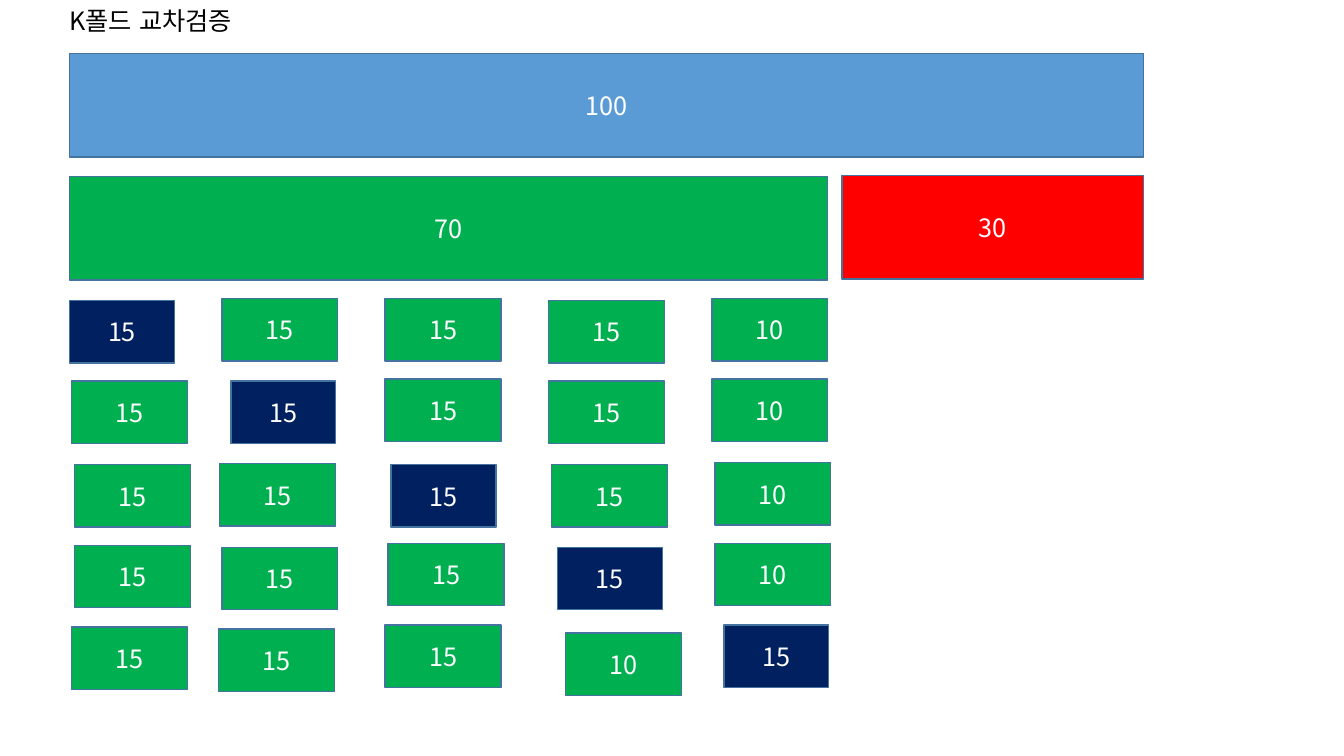
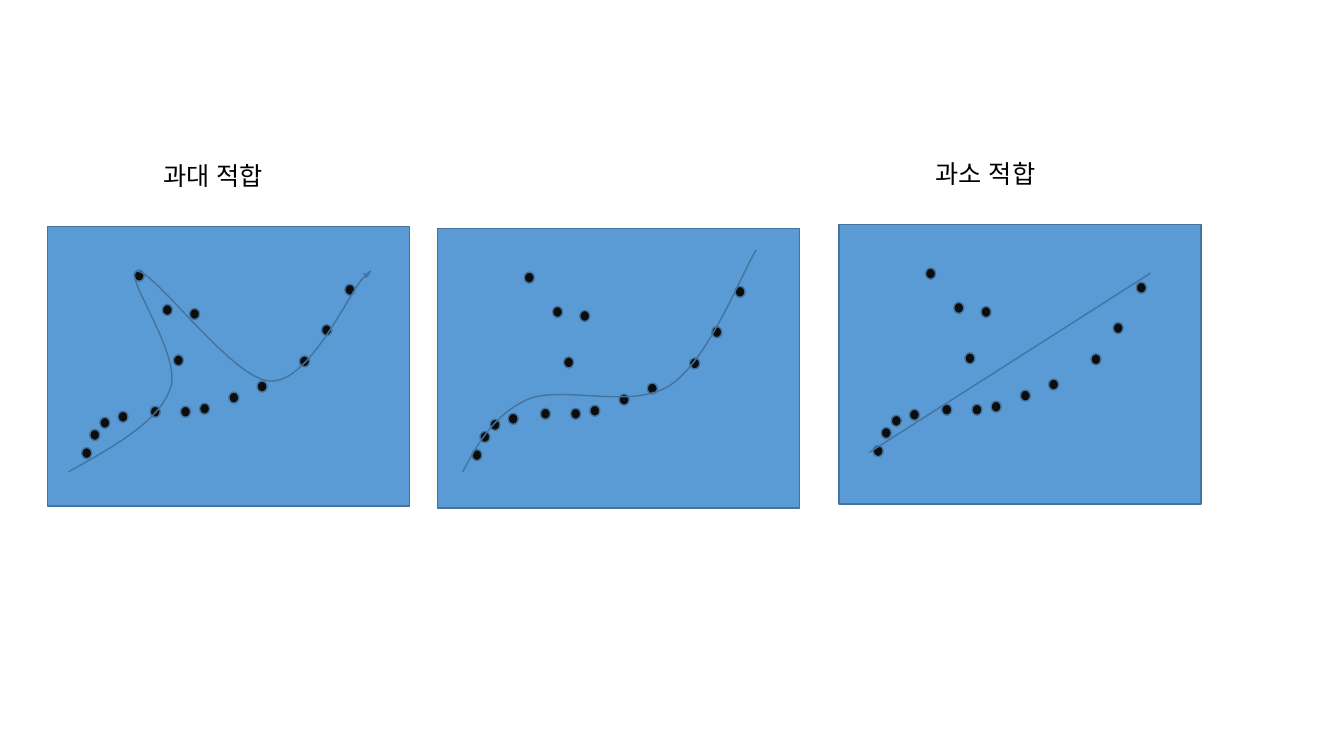
"""Build two slides on k-fold cross-validation and on model fit."""
import dataclasses
import typing

import lxml.etree
import pptx
import pptx.dml.color
import pptx.enum.lang
import pptx.enum.shapes
import pptx.enum.text
import pptx.oxml.ns
import pptx.util

Inches = pptx.util.Inches
Color = pptx.dml.color.RGBColor
ShapeType = pptx.enum.shapes.MSO_SHAPE
Point = tuple[float, float]


@dataclasses.dataclass(frozen=True)
class Theme:
    blue: Color = Color.from_string("5B9BD5")
    green: Color = Color.from_string("00B050")
    red: Color = Color.from_string("FF0000")
    navy: Color = Color.from_string("002060")
    dot: Color = Color.from_string("0D0D0D")
    outline: Color = Color.from_string("43739E")
    white: Color = Color.from_string("FFFFFF")
    black: Color = Color.from_string("000000")
    font: str = "Noto Sans CJK KR"
    text_size: pptx.util.Pt = pptx.util.Pt(18)
    line_width: pptx.util.Pt = pptx.util.Pt(1)


THEME = Theme()
FONT_FORMAT = {
    "name": THEME.font,
    "size": THEME.text_size,
    "language_id": pptx.enum.lang.MSO_LANGUAGE_ID.KOREAN,
}


@dataclasses.dataclass(frozen=True)
class Box:
    left: float
    top: float
    width: float
    height: float

    def lengths(self) -> list[pptx.util.Length]:
        return [Inches(value) for value in dataclasses.astuple(self)]


@dataclasses.dataclass(frozen=True)
class Bar:
    box: Box
    fill: Color
    label: str


@dataclasses.dataclass(frozen=True)
class Fold:
    lefts: tuple[float, ...]
    tops: tuple[float, ...]


@dataclasses.dataclass(frozen=True)
class Title:
    box: Box
    text: str


BARS = [
    Bar(Box(0.69, 0.53, 10.65, 1.03), THEME.blue, "100"),
    Bar(Box(0.69, 1.75, 7.52, 1.03), THEME.green, "70"),
    Bar(Box(8.35, 1.74, 2.99, 1.03), THEME.red, "30"),
]
FOLD_TITLE = Title(Box(0.59, 0, 1.96, 0.4), "K폴드 교차검증")
FOLDS = [
    Fold((0.69, 2.2, 3.82, 5.44, 7.06), (2.98, 2.96, 2.96, 2.98, 2.96)),
    Fold((0.71, 2.29, 3.82, 5.44, 7.06), (3.78, 3.78, 3.76, 3.78, 3.76)),
    Fold((0.74, 2.18, 3.88, 5.47, 7.09), (4.61, 4.6, 4.61, 4.61, 4.59)),
    Fold((0.74, 2.2, 3.85, 5.53, 7.09), (5.41, 5.43, 5.39, 5.43, 5.39)),
    Fold((0.71, 2.17, 3.82, 5.61, 7.18), (6.22, 6.24, 6.2, 6.28, 6.2)),
]
FOLD_HEIGHT = 0.62
TRAINING_WIDTH = 1.15
VALIDATION_WIDTH = 1.04

PANEL_CORNERS: list[Point] = [(0.47, 2.25), (4.34, 2.27), (8.32, 2.23)]
PANEL_SIZE = (3.59, 2.77)
FIT_TITLES = [
    Title(Box(1.52, 1.54, 1.3, 0.4), "과대 적합"),
    Title(Box(9.18, 1.52, 1.3, 0.4), "과소 적합"),
]
DOT_SIZE = (0.1, 0.11)
DOT_OFFSETS: list[Point] = [
    (0.34, 2.19), (0.42, 2.01), (0.52, 1.89), (0.7, 1.83),
    (1.02, 1.78), (1.32, 1.78), (1.51, 1.75), (1.8, 1.64),
    (2.08, 1.53), (2.5, 1.28), (2.72, 0.97), (2.95, 0.57),
    (1.14, 0.77), (1.41, 0.81), (1.25, 1.27), (0.86, 0.43),
]
OVERFIT_CURVE: list[Point] = [
    (0.68, 4.68),
    (1.13, 4.43), (1.58, 4.18), (1.69, 3.85),
    (1.81, 3.52), (1.2, 2.7), (1.36, 2.69),
    (1.53, 2.68), (2.31, 3.77), (2.68, 3.78),
    (3.06, 3.8), (3.44, 2.95), (3.59, 2.77),
    (3.75, 2.6), (3.63, 2.76), (3.63, 2.75),
    (3.63, 2.74), (3.62, 2.72), (3.61, 2.71),
]
UNDERFIT_LINE: list[Point] = [(8.62, 4.49), (11.41, 2.71)]
BALANCED_CURVE: list[Point] = [
    (4.59, 4.68),
    (4.74, 4.4), (4.9, 4.11), (5.24, 3.96),
    (5.59, 3.82), (6.27, 4.07), (6.65, 3.82),
    (7.03, 3.57), (7.37, 2.68), (7.5, 2.48),
]


def apply_format(target: typing.Any, values: dict[str, typing.Any]) -> None:
    for name, value in values.items():
        setattr(target, name, value)


def style_line(line: typing.Any) -> None:
    line.color.rgb = THEME.outline
    line.width = THEME.line_width


def write_text(shape: typing.Any, text: str, color: Color,
               alignment: pptx.enum.text.PP_ALIGN, frame_format: dict[str, typing.Any]) -> None:
    apply_format(shape.text_frame, frame_format)
    paragraph = shape.text_frame.paragraphs[0]
    paragraph.alignment = alignment
    run = paragraph.add_run()
    run.text = text
    apply_format(run.font, FONT_FORMAT)
    run.font.color.rgb = color
    east_asian = lxml.etree.SubElement(run.font._element, pptx.oxml.ns.qn("a:ea"))
    east_asian.set("typeface", THEME.font)


def add_filled_shape(slide: typing.Any, kind: ShapeType, box: Box, fill: Color) -> typing.Any:
    shape = slide.shapes.add_shape(kind, *box.lengths())
    shape.shadow.inherit = False
    shape.fill.solid()
    shape.fill.fore_color.rgb = fill
    style_line(shape.line)
    return shape


def add_bar(slide: typing.Any, bar: Bar) -> None:
    shape = add_filled_shape(slide, ShapeType.RECTANGLE, bar.box, bar.fill)
    write_text(shape, bar.label, THEME.white, pptx.enum.text.PP_ALIGN.CENTER,
               {"vertical_anchor": pptx.enum.text.MSO_ANCHOR.MIDDLE})


def add_title(slide: typing.Any, title: Title) -> None:
    shape = slide.shapes.add_textbox(*title.box.lengths())
    write_text(shape, title.text, THEME.black, pptx.enum.text.PP_ALIGN.LEFT,
               {"word_wrap": False,
                "auto_size": pptx.enum.text.MSO_AUTO_SIZE.SHAPE_TO_FIT_TEXT})


def add_curve(slide: typing.Any, controls: list[Point]) -> None:
    points = [(Inches(x), Inches(y)) for x, y in controls]
    builder = slide.shapes.build_freeform(*points[0])
    builder.add_line_segments(points[3::3], close=False)
    shape = builder.convert_to_shape()
    shape.shadow.inherit = False
    shape.fill.background()
    style_line(shape.line)
    segments = list(shape._element.iter(pptx.oxml.ns.qn("a:lnTo")))
    for index, segment in enumerate(segments):
        segment.clear()
        segment.tag = pptx.oxml.ns.qn("a:cubicBezTo")
        for x, y in points[3 * index + 1:3 * index + 4]:
            vertex = lxml.etree.SubElement(segment, pptx.oxml.ns.qn("a:pt"))
            vertex.set("x", str(x - shape.left))
            vertex.set("y", str(y - shape.top))


def add_straight_line(slide: typing.Any, start: Point, end: Point) -> None:
    connector = slide.shapes.add_connector(
        pptx.enum.shapes.MSO_CONNECTOR.STRAIGHT,
        *(Inches(value) for value in start + end))
    style_line(connector.line)
    lxml.etree.SubElement(connector._element.spPr, pptx.oxml.ns.qn("a:effectLst"))


def add_fold(slide: typing.Any, fold: Fold, validation: int) -> None:
    columns = range(len(fold.lefts))
    last_training = max(column for column in columns if column != validation)
    for column, left, top in zip(columns, fold.lefts, fold.tops):
        held_out = column == validation
        width = VALIDATION_WIDTH if held_out else TRAINING_WIDTH
        add_bar(slide, Bar(Box(left, top, width, FOLD_HEIGHT),
                           THEME.navy if held_out else THEME.green,
                           "10" if column == last_training else "15"))


def add_panel(slide: typing.Any, left: float, top: float) -> None:
    add_filled_shape(slide, ShapeType.RECTANGLE, Box(left, top, *PANEL_SIZE), THEME.blue)
    for x, y in DOT_OFFSETS:
        add_filled_shape(slide, ShapeType.OVAL, Box(left + x, top + y, *DOT_SIZE), THEME.dot)


def build_cross_validation(slide: typing.Any) -> None:
    for bar in BARS:
        add_bar(slide, bar)
    add_title(slide, FOLD_TITLE)
    for index, fold in enumerate(FOLDS):
        add_fold(slide, fold, index)


def build_model_fit(slide: typing.Any) -> None:
    for corner in PANEL_CORNERS:
        add_panel(slide, *corner)
    for title in FIT_TITLES:
        add_title(slide, title)
    add_curve(slide, OVERFIT_CURVE)
    add_straight_line(slide, *UNDERFIT_LINE)
    add_curve(slide, BALANCED_CURVE)


def main() -> None:
    presentation = pptx.Presentation()
    apply_format(presentation, {"slide_width": Inches(13.33), "slide_height": Inches(7.5)})
    blank_layout = presentation.slide_layouts[6]
    for build in (build_cross_validation, build_model_fit):
        build(presentation.slides.add_slide(blank_layout))
    presentation.save("out.pptx")


if __name__ == "__main__":
    main()
